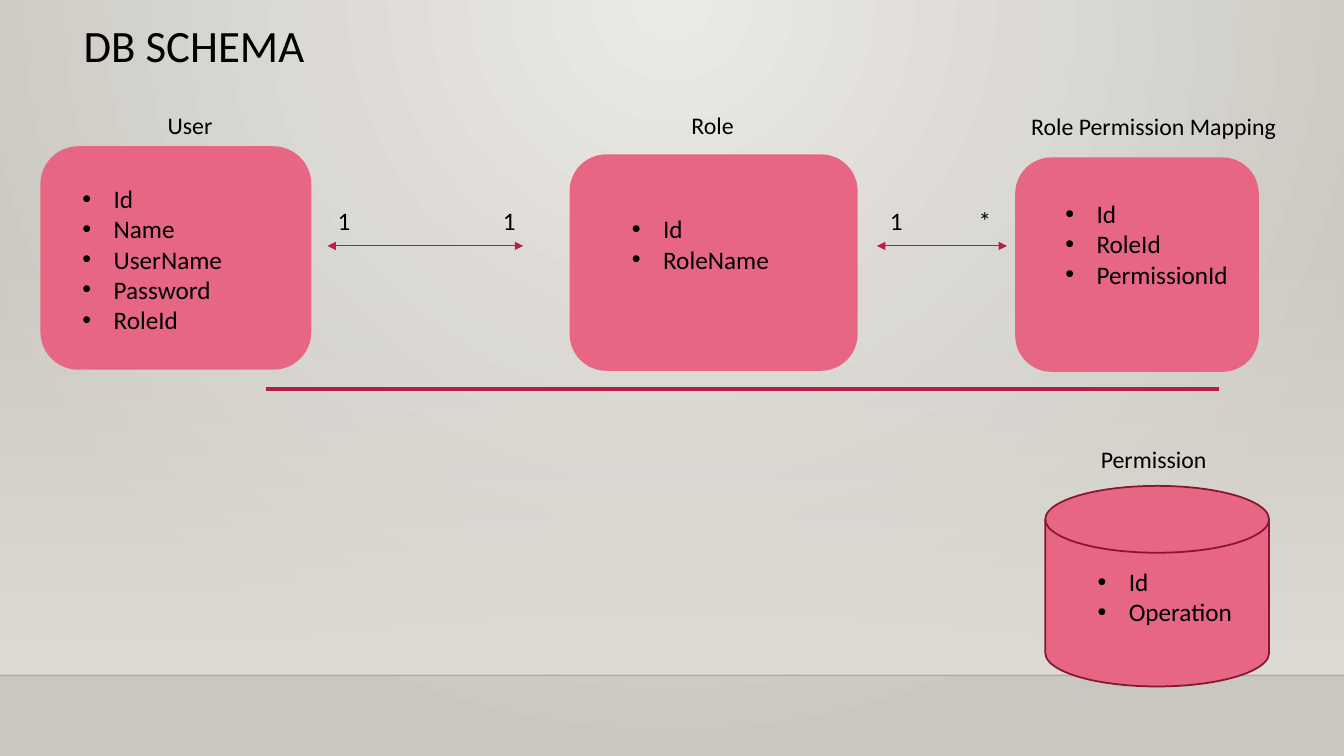
from dataclasses import dataclass

import lxml.etree
import pptx
import pptx.dml.color
import pptx.enum.shapes
import pptx.enum.text
import pptx.oxml.ns
import pptx.util

COLS, ROWS = 160, 90
WIDE, HIGH = pptx.util.Inches(13.33), pptx.util.Inches(7.5)
FONT = "Calibri"
HEX = {
    "glow": "ECEAE7", "edge": "CAC7C1", "wall": "DFDBD5", "floor": "000001",
    "rose": "E66684", "red": "B71E42", "wine": "871631", "ink": "000000",
}
KIND = pptx.enum.shapes.MSO_SHAPE
LEFT = pptx.enum.text.PP_ALIGN.LEFT
MID = pptx.enum.text.PP_ALIGN.CENTER
qn = pptx.oxml.ns.qn


@dataclass(frozen=True)
class Box:
    col: float
    row: float
    wide: float
    high: float


@dataclass(frozen=True)
class Table:
    name: str
    fields: tuple[str, ...]
    card: Box
    label: Box
    list: Box
    kind: int = KIND.ROUNDED_RECTANGLE
    line: str = "rose"


@dataclass(frozen=True)
class Mark:
    text: str
    col: float
    wide: float


@dataclass(frozen=True)
class Link:
    start: float
    end: float
    marks: tuple[Mark, Mark]


TABLES = (
    Table("User", ("Id", "Name", "UserName", "Password", "RoleId"),
          Box(4.92, 17.52, 32.04, 26.4), Box(3.12, 12, 39, 14.52),
          Box(8.64, 21.24, 24.48, 19.44)),
    Table("Role", ("Id", "RoleName"),
          Box(67.92, 18.48, 34.08, 25.56), Box(74.76, 12, 20.16, 6.48),
          Box(74.04, 24.84, 20.76, 8.52)),
    Table("Role Permission Mapping", ("Id", "RoleId", "PermissionId"),
          Box(120.96, 18.84, 28.8, 25.32), Box(120.84, 12.12, 33, 5.88),
          Box(125.64, 23.04, 23.76, 12.12)),
    Table("Permission", ("Id", "Operation"),
          Box(124.44, 57.84, 26.64, 23.88), Box(117.84, 51.72, 39, 14.52),
          Box(129.48, 66.84, 20.16, 8.52),
          KIND.FLOWCHART_MAGNETIC_DISK, "wine"),
)
LINKS = (
    Link(39, 62.28, (Mark("1", 39, 3), Mark("1", 58.68, 2.88))),
    Link(104.4, 119.88, (Mark("1", 104.76, 2.64), Mark("*", 115.32, 3.6))),
)
LINK_ROW, MARK_ROW, MARK_HIGH = 29.28, 23.88, 4.8
FLOOR, WALL = 80.4, 26.52


def x(col: float) -> int:
    return round(WIDE * col / COLS)


def y(row: float) -> int:
    return round(HIGH * row / ROWS)


def place(box: Box) -> tuple[int, int, int, int]:
    return x(box.col), y(box.row), x(box.wide), y(box.high)


def tint(name: str) -> pptx.dml.color.RGBColor:
    return pptx.dml.color.RGBColor.from_string(HEX[name])


def fade(node, share: int) -> None:
    lxml.etree.SubElement(node, qn("a:alpha"), val=str(share * 1000))


def blend(fill, first: str, last: str) -> None:
    fill.gradient()
    for stop, name, spot in zip(fill.gradient_stops, (first, last), (0, 1)):
        stop.color.rgb = tint(name)
        stop.position = spot


def draw_back(slide) -> None:
    blend(slide.background.fill, "glow", "edge")
    grad = slide.element.find(".//" + qn("a:gradFill"))
    grad.remove(grad.find(qn("a:lin")))
    ring = lxml.etree.Element(qn("a:path"), {"path": "circle"})
    lxml.etree.SubElement(ring, qn("a:fillToRect"),
                          l="43000", t="0", r="43000", b="100000")
    grad.insert(1, ring)
    wall = slide.shapes.add_shape(
        KIND.RECTANGLE, *place(Box(0, WALL, COLS, FLOOR - WALL)))
    wall.shadow.inherit = False
    wall.line.fill.background()
    blend(wall.fill, "wall", "wall")
    wall.fill.gradient_angle = 270
    fade(wall.element.spPr.find(".//" + qn("a:srgbClr")), 0)


def draw_line(slide, start: float, end: float, row: float,
              name: str, size: float):
    line = slide.shapes.add_connector(
        pptx.enum.shapes.MSO_CONNECTOR.STRAIGHT, x(start), y(row), x(end), y(row))
    line.line.color.rgb = tint(name)
    line.line.width = pptx.util.Pt(size)
    lxml.etree.SubElement(line.element.spPr, qn("a:effectLst"))
    return line


def draw_text(slide, box: Box, lines: tuple[str, ...], size: int = 18,
              align: int = LEFT, dots: bool = False):
    frame = slide.shapes.add_textbox(*place(box)).text_frame
    frame.word_wrap = True
    frame.auto_size = pptx.enum.text.MSO_AUTO_SIZE.SHAPE_TO_FIT_TEXT
    for num, line in enumerate(lines):
        para = frame.add_paragraph() if num else frame.paragraphs[0]
        para.alignment = align
        run = para.add_run()
        run.text = line
        run.font.name = FONT
        run.font.size = pptx.util.Pt(size)
        run.font.color.rgb = tint("ink")
        if dots:
            dent = pptx.util.Inches(0.31)
            props = para._p.get_or_add_pPr()
            props.set("marL", str(dent))
            props.set("indent", str(-dent))
            lxml.etree.SubElement(props, qn("a:buFont"), typeface="Arial")
            lxml.etree.SubElement(props, qn("a:buChar"), char="•")
    return frame


def draw_table(slide, table: Table) -> None:
    card = slide.shapes.add_shape(table.kind, *place(table.card))
    card.shadow.inherit = False
    card.fill.solid()
    card.fill.fore_color.rgb = tint("rose")
    card.line.color.rgb = tint(table.line)
    card.line.width = pptx.util.Pt(1.25)
    label = draw_text(slide, table.label, (table.name,), 17, MID)
    label.auto_size = pptx.enum.text.MSO_AUTO_SIZE.NONE
    label.margin_left = label.margin_right = label.margin_top = pptx.util.Inches(0.13)
    label.margin_bottom = 0
    label.paragraphs[0].line_spacing = 0.9
    draw_text(slide, table.list, table.fields, dots=True)


def draw_link(slide, link: Link) -> None:
    line = draw_line(slide, link.start, link.end, LINK_ROW, "red", 0.75)
    for tip in ("a:headEnd", "a:tailEnd"):
        lxml.etree.SubElement(line.element.spPr.find(qn("a:ln")), qn(tip),
                              type="triangle")
    for mark in link.marks:
        draw_text(slide, Box(mark.col, MARK_ROW, mark.wide, MARK_HIGH), (mark.text,))


def main() -> None:
    deck = pptx.Presentation()
    deck.slide_width, deck.slide_height = WIDE, HIGH
    slide = deck.slides.add_slide(deck.slide_layouts[6])
    draw_back(slide)
    floor = draw_line(slide, 0, COLS, FLOOR, "floor", 1)
    fade(floor.element.spPr.find(".//" + qn("a:srgbClr")), 20)
    draw_line(slide, 31.68, 145.08, 46.32, "red", 2.5)
    for table in TABLES:
        draw_table(slide, table)
    for link in LINKS:
        draw_link(slide, link)
    draw_text(slide, Box(8.76, 1.56, 144.36, 7.68), ("DB SCHEMA",), 32)
    deck.save("out.pptx")


if __name__ == "__main__":
    main()
